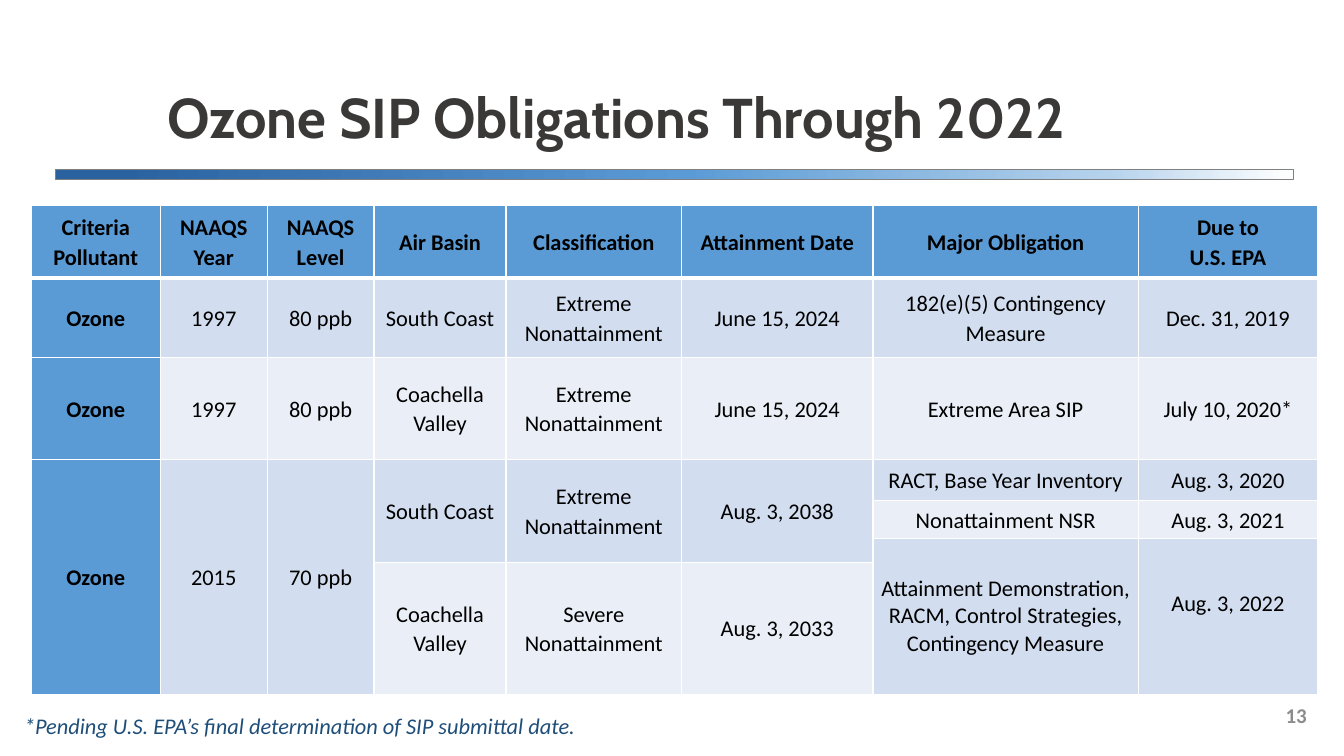
from collections import namedtuple
from copy import deepcopy
from dataclasses import dataclass

from lxml.etree import SubElement
from pptx import Presentation
from pptx.dml.color import RGBColor
from pptx.enum.shapes import MSO_SHAPE
from pptx.enum.text import MSO_ANCHOR, PP_ALIGN
from pptx.oxml import parse_xml
from pptx.oxml.ns import nsdecls, qn
from pptx.util import Inches, Pt

Box = namedtuple("Box", "left top width height")


@dataclass(frozen=True)
class Theme:
    """Colours, fonts and type sizes of the slide."""
    head: str = "Cabin"
    body: str = "Calibri"
    dark: str = "3B3838"
    ink: str = "000000"
    note: str = "1F4E79"
    gray: str = "8C8C8C"
    edge: str = "808080"
    white: str = "FFFFFF"
    blue: str = "5B9BD5"
    bands: tuple = ("EAEFF7", "D2DEEF")
    fade: tuple = ((0, "2A62A0"), (0.05, "2A62A0"), (0.51, "5B9BD5"),
                   (0.85, "B5D2EC"), (1, "FFFFFF"))
    big: int = 40
    text: int = 16
    small: int = 15


THEME = Theme()
COLS = (1.28, 1.06, 1.06, 1.31, 1.74, 1.9, 2.63, 1.78)
ROWS = (0.72, 0.79, 1.01, 0.41, 0.37, 0.24, 1.31)
DATA = (
    ("Criteria Pollutant", "NAAQS Year", "NAAQS Level", "Air Basin",
     "Classification", "Attainment Date", "Major Obligation",
     "Due to\nU.S. EPA"),
    ("Ozone", "1997", "80 ppb", "South Coast", "Extreme Nonattainment",
     "June 15, 2024", "182(e)(5) Contingency\nMeasure", "Dec. 31, 2019"),
    ("Ozone", "1997", "80 ppb", "Coachella Valley", "Extreme Nonattainment",
     "June 15, 2024", "Extreme Area SIP", "July 10, 2020*"),
    ("Ozone", "2015", "70 ppb", "South Coast", "Extreme Nonattainment",
     "Aug. 3, 2038", "RACT, Base Year Inventory", "Aug. 3, 2020"),
    (None,) * 6 + ("Nonattainment NSR", "Aug. 3, 2021"),
    (None,) * 6 + ("Attainment Demonstration, RACM, Control Strategies, "
                   "Contingency Measure", "Aug. 3, 2022"),
    (None,) * 3 + ("Coachella Valley", "Severe Nonattainment",
                   "Aug. 3, 2033", None, None),
)


def rgb(code):
    """Turn a hex code into a colour."""
    return RGBColor.from_string(code)


def place(shape, box):
    """Move a shape to a box given in inches."""
    shape.left, shape.top, shape.width, shape.height = map(Inches, box)


def style(frame, size, color, font=THEME.body, bold=False, italic=False,
          align=PP_ALIGN.LEFT, space=1.0):
    """Format every paragraph and run of a text frame."""
    frame.word_wrap = True
    for para in frame.paragraphs:
        para.alignment, para.line_spacing = align, space
        for run in para.runs:
            face = run.font
            face.size, face.name = Pt(size), font
            face.bold, face.italic = bold, italic
            face.color.rgb = rgb(color)


def add_title(slide, box):
    """Fill the title and give its letters a soft shadow."""
    title = slide.shapes.title
    place(title, box)
    frame = title.text_frame
    frame.text = "Ozone SIP Obligations Through 2022"
    frame.vertical_anchor = MSO_ANCHOR.BOTTOM
    style(frame, THEME.big, THEME.dark, THEME.head, bold=True, space=0.9)
    shade = parse_xml(
        f'<a:effectLst {nsdecls("a")}><a:outerShdw blurRad="38100" '
        'dist="38100" dir="2700000" algn="tl"><a:srgbClr val="000000">'
        '<a:alpha val="43000"/></a:srgbClr></a:outerShdw></a:effectLst>')
    props = frame.paragraphs[0].runs[0].font._element
    props.find(qn("a:solidFill")).addnext(shade)


def add_bar(slide, box):
    """Draw the fading rule below the title."""
    bar = slide.shapes.add_shape(MSO_SHAPE.RECTANGLE, *map(Inches, box))
    bar.shadow.inherit = False
    bar.line.color.rgb, bar.line.width = rgb(THEME.edge), Pt(1)
    bar.fill.gradient()
    bar.fill.gradient_angle = 0
    stops = bar._element.spPr.find(qn("a:gradFill")).find(qn("a:gsLst"))
    for _ in THEME.fade[2:]:
        stops.append(deepcopy(stops[0]))
    for stop, (spot, color) in zip(bar.fill.gradient_stops, THEME.fade):
        stop.position, stop.color.rgb = spot, rgb(color)


def add_edge(cell, side, width):
    """Give one side of a cell a white border."""
    line = SubElement(cell._tc.get_or_add_tcPr(), qn(f"a:ln{side}"),
                      w=str(Pt(width)))
    fill = SubElement(line, qn("a:solidFill"))
    SubElement(fill, qn("a:srgbClr"), val=THEME.white)


def fill_cell(cell, text, row, col):
    """Colour, border and label one cell."""
    for side in "LRTB":
        thick = (row, side) in ((0, "B"), (1, "T"))
        add_edge(cell, side, 3 if thick else 1)
    lead = row == 0 or col == 0
    cell.fill.solid()
    cell.fill.fore_color.rgb = rgb(THEME.blue if lead else THEME.bands[row % 2])
    cell.margin_left = cell.margin_right = Inches(0.07)
    cell.margin_top = cell.margin_bottom = 0
    cell.vertical_anchor = MSO_ANCHOR.MIDDLE
    if text:
        cell.text_frame.text = text
        style(cell.text_frame, THEME.text, THEME.ink, bold=lead,
              align=PP_ALIGN.CENTER, space=1.07)


def add_grid(slide, box):
    """Build the table; a None joins the cell above it."""
    frame = slide.shapes.add_table(len(ROWS), len(COLS), *map(Inches, box))
    grid = frame.table
    grid.first_row = grid.horz_banding = False
    for part, width in zip(grid.columns, COLS):
        part.width = Inches(width)
    for part, height in zip(grid.rows, ROWS):
        part.height = Inches(height)
    for row, line in enumerate(DATA):
        for col, text in enumerate(line):
            fill_cell(grid.cell(row, col), text, row, col)
            last = row
            while last + 1 < len(DATA) and DATA[last + 1][col] is None:
                last += 1
            if text and last > row:
                grid.cell(row, col).merge(grid.cell(last, col))
    grid.cell(5, 6).text_frame.paragraphs[0].line_spacing = 1.0
    grid.cell(5, 7).margin_bottom = Inches(0.26)


def add_note(slide, box):
    """Write the footnote."""
    frame = slide.shapes.add_textbox(*map(Inches, box)).text_frame
    frame.text = "*Pending U.S. EPA’s final determination of SIP submittal date."
    style(frame, THEME.text, THEME.note, italic=True, space=0.9)


def add_page(slide, box):
    """Write the page number."""
    frame = slide.shapes.add_textbox(*map(Inches, box)).text_frame
    frame.text = "13"
    frame.vertical_anchor = MSO_ANCHOR.MIDDLE
    style(frame, THEME.small, THEME.gray, bold=True, align=PP_ALIGN.RIGHT)


def main():
    """Build the slide and save it."""
    deck = Presentation()
    deck.slide_width, deck.slide_height = Inches(13.33), Inches(7.5)
    slide = deck.slides.add_slide(deck.slide_layouts[5])
    add_title(slide, Box(1.56, 0.69, 11.27, 0.85))
    add_bar(slide, Box(0.55, 1.68, 12.28, 0.1))
    add_note(slide, Box(0.14, 7.05, 11.7, 0.48))
    add_page(slide, Box(10.06, 6.89, 3, 0.4))
    add_grid(slide, Box(0.31, 2.04, sum(COLS), sum(ROWS)))
    deck.save("out.pptx")


if __name__ == "__main__":
    main()
